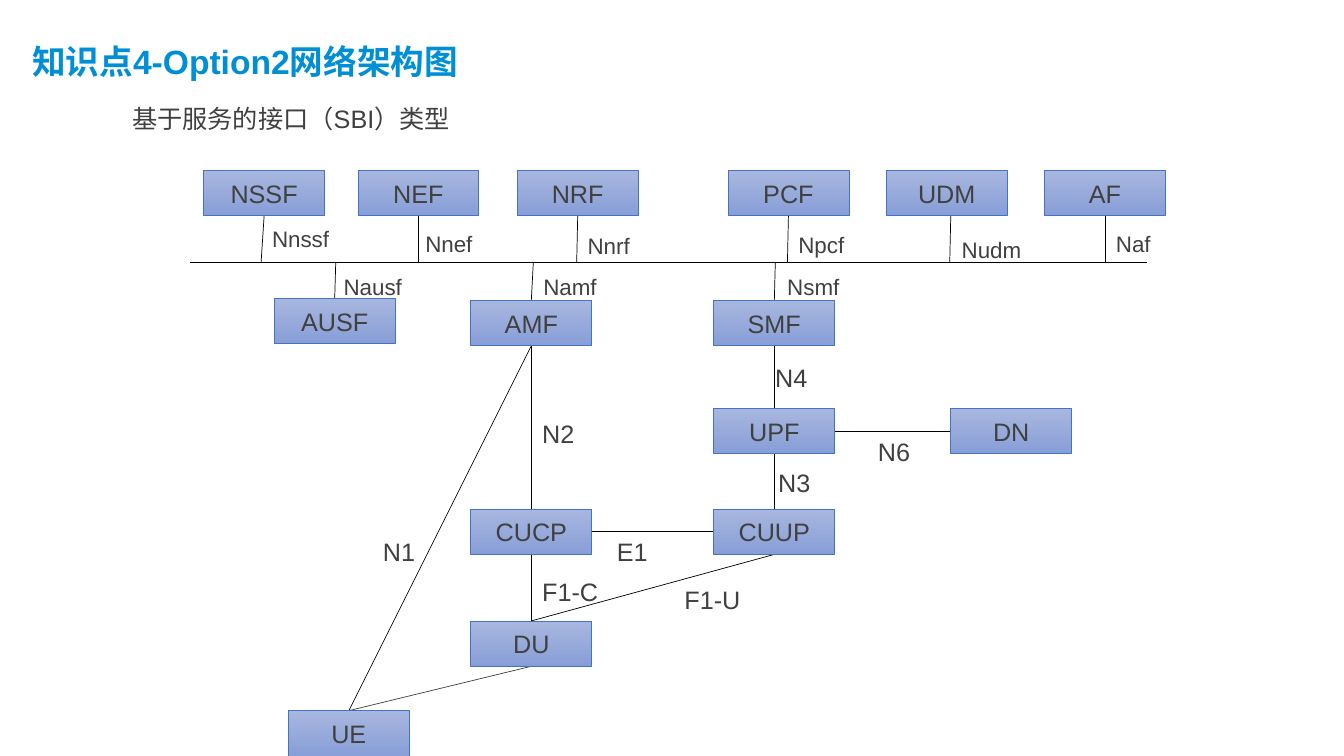
"""Builds the Option2 network architecture slide with its service-based interfaces."""
from lxml import etree
from pptx import Presentation
from pptx.dml.color import RGBColor
from pptx.enum.shapes import MSO_CONNECTOR, MSO_SHAPE
from pptx.enum.text import MSO_ANCHOR, MSO_AUTO_SIZE, PP_ALIGN
from pptx.oxml.ns import qn
from pptx.util import Pt

STRAIGHT = MSO_CONNECTOR.STRAIGHT
RECTANGLE = MSO_SHAPE.RECTANGLE
MIDDLE = MSO_ANCHOR.MIDDLE
GROW = MSO_AUTO_SIZE.SHAPE_TO_FIT_TEXT
LEFT, CENTER = PP_ALIGN.LEFT, PP_ALIGN.CENTER
TOP_SIDE, LEFT_SIDE, BOTTOM_SIDE, RIGHT_SIDE = range(4)

PX = 9144
PAGE_WIDTH, PAGE_HEIGHT = 1333, 750
BOX_WIDTH, BOX_HEIGHT = 120, 45
BUS_LEFT, BUS_RIGHT, BUS_Y = 188, 1138, 260
JOIN_TOLERANCE = 2
BLACK, GREY, BOX_EDGE = "000000", "404040", "4472C4"
BOX_GRADIENT = ["A8B7DF", "889ED7"]

HEADINGS = [
    ("知识点4-Option2网络架构图", 26, 19, {"size": Pt(24), "bold": True}, "008FD4"),
    ("基于服务的接口（SBI）类型", 125, 76, {"size": Pt(18)}, GREY),
]
BOXES = {
    "NSSF": (202, 169), "NEF": (355, 169), "NRF": (513, 169),
    "PCF": (722, 169), "UDM": (879, 169), "AF": (1036, 169),
    "AUSF": (272, 296), "AMF": (467, 298), "SMF": (708, 298),
    "UPF": (708, 405), "DN": (943, 405),
    "CUCP": (467, 505), "CUUP": (708, 505),
    "DU": (467, 616), "UE": (286, 705),
}
BUS_STUBS = [
    ("NSSF", 260, 259), ("NEF", 416, 415), ("NRF", 573, 572),
    ("PCF", 782, 781), ("UDM", 943, 942), ("AF", 1097, 1096),
    ("AUSF", 331, 333), ("AMF", 528, 529), ("SMF", 767, 769),
]
LINKS = [
    ("SMF", BOTTOM_SIDE, "CUUP", TOP_SIDE, BLACK),
    ("AMF", BOTTOM_SIDE, "DU", TOP_SIDE, BLACK),
    ("AMF", BOTTOM_SIDE, "UE", TOP_SIDE, BLACK),
    ("CUCP", RIGHT_SIDE, "CUUP", LEFT_SIDE, BLACK),
    ("UPF", RIGHT_SIDE, "DN", LEFT_SIDE, BLACK),
    ("CUUP", BOTTOM_SIDE, "DU", TOP_SIDE, BLACK),
    ("DU", BOTTOM_SIDE, "UE", TOP_SIDE, GREY),
]
BUS_LABELS = [
    ("Nnssf", 260, 218), ("Nnef", 412, 223), ("Nnrf", 573, 225),
    ("Npcf", 782, 224), ("Nudm", 944, 229), ("Naf", 1097, 223),
    ("Nausf", 331, 266), ("Namf", 529, 266), ("Nsmf", 771, 266),
]
LINK_LABELS = [
    ("N1", 370, 527), ("N2", 528, 410), ("N3", 762, 459), ("N4", 759, 355),
    ("N6", 861, 428), ("E1", 602, 527), ("F1-C", 528, 567), ("F1-U", 669, 575),
]


def color(value):
    return RGBColor.from_string(value)


def assign(target, values):
    for name, value in values.items():
        setattr(target, name, value)


def write(frame, text, font, text_color, align=LEFT):
    para = frame.paragraphs[0]
    para.alignment = align
    span = para.add_run()
    span.text = text
    assign(span.font, {"name": "Arial", **font})
    span.font.color.rgb = color(text_color)


def add_text(page, text, area, frame_format, font, text_color):
    frame = page.shapes.add_textbox(*(value * PX for value in area)).text_frame
    assign(frame, {"word_wrap": True, **frame_format})
    write(frame, text, font, text_color)


def add_line(page, x1, y1, x2, y2, line_color=BLACK):
    line = page.shapes.add_connector(STRAIGHT, x1 * PX, y1 * PX, x2 * PX, y2 * PX)
    line.line.color.rgb = color(line_color)
    line.line.width = Pt(0.5)
    etree.SubElement(line._element.spPr, qn("a:effectLst"))
    return line


def add_box(page, name, left, top):
    box = page.shapes.add_shape(
        RECTANGLE, left * PX, top * PX, BOX_WIDTH * PX, BOX_HEIGHT * PX)
    box.shadow.inherit = False
    box.fill.gradient()
    box.fill.gradient_angle = 270
    for stop, stop_color in zip(box.fill.gradient_stops, BOX_GRADIENT):
        stop.color.rgb = color(stop_color)
    box.line.color.rgb = color(BOX_EDGE)
    box.line.width = Pt(0.5)
    box.text_frame.vertical_anchor = MIDDLE
    write(box.text_frame, name, {"size": Pt(18)}, GREY, CENTER)
    return box


def side_middle(name, side):
    left, top = BOXES[name]
    across, down = [(0.5, 0), (0, 0.5), (0.5, 1), (1, 0.5)][side]
    return int(left + across * BOX_WIDTH), int(top + down * BOX_HEIGHT)


def add_labels(page, labels, height, size):
    for text, left, top in labels:
        add_text(page, text, (left, top, 90, height), {"auto_size": GROW},
                 {"size": size}, GREY)


def main():
    deck = Presentation()
    deck.slide_width, deck.slide_height = PAGE_WIDTH * PX, PAGE_HEIGHT * PX
    page = deck.slides.add_slide(deck.slide_layouts[6])

    add_line(page, BUS_LEFT, BUS_Y, BUS_RIGHT, BUS_Y)
    joins = []
    for name, box_x, bus_x in BUS_STUBS:
        side = BOTTOM_SIDE if BOXES[name][1] < BUS_Y else TOP_SIDE
        middle_x, edge_y = side_middle(name, side)
        stub = add_line(page, box_x, edge_y, bus_x, BUS_Y)
        if abs(middle_x - box_x) <= JOIN_TOLERANCE:
            joins.append((stub.begin_connect, name, side))
    for start, start_side, end, end_side, line_color in LINKS:
        link = add_line(page, *side_middle(start, start_side),
                        *side_middle(end, end_side), line_color)
        joins.append((link.begin_connect, start, start_side))
        joins.append((link.end_connect, end, end_side))

    boxes = {name: add_box(page, name, *corner) for name, corner in BOXES.items()}
    for connect, name, side in joins:
        connect(boxes[name], side)

    heading_format = {
        "vertical_anchor": MIDDLE, "margin_left": 6 * PX, "margin_right": 6 * PX,
        "margin_top": 3 * PX, "margin_bottom": 3 * PX,
    }
    for text, left, top, font, text_color in HEADINGS:
        add_text(page, text, (left, top, 1241, 84), heading_format, font, text_color)
    add_labels(page, BUS_LABELS, 37, Pt(16))
    add_labels(page, LINK_LABELS, 40, Pt(18))
    deck.save("out.pptx")


if __name__ == "__main__":
    main()
